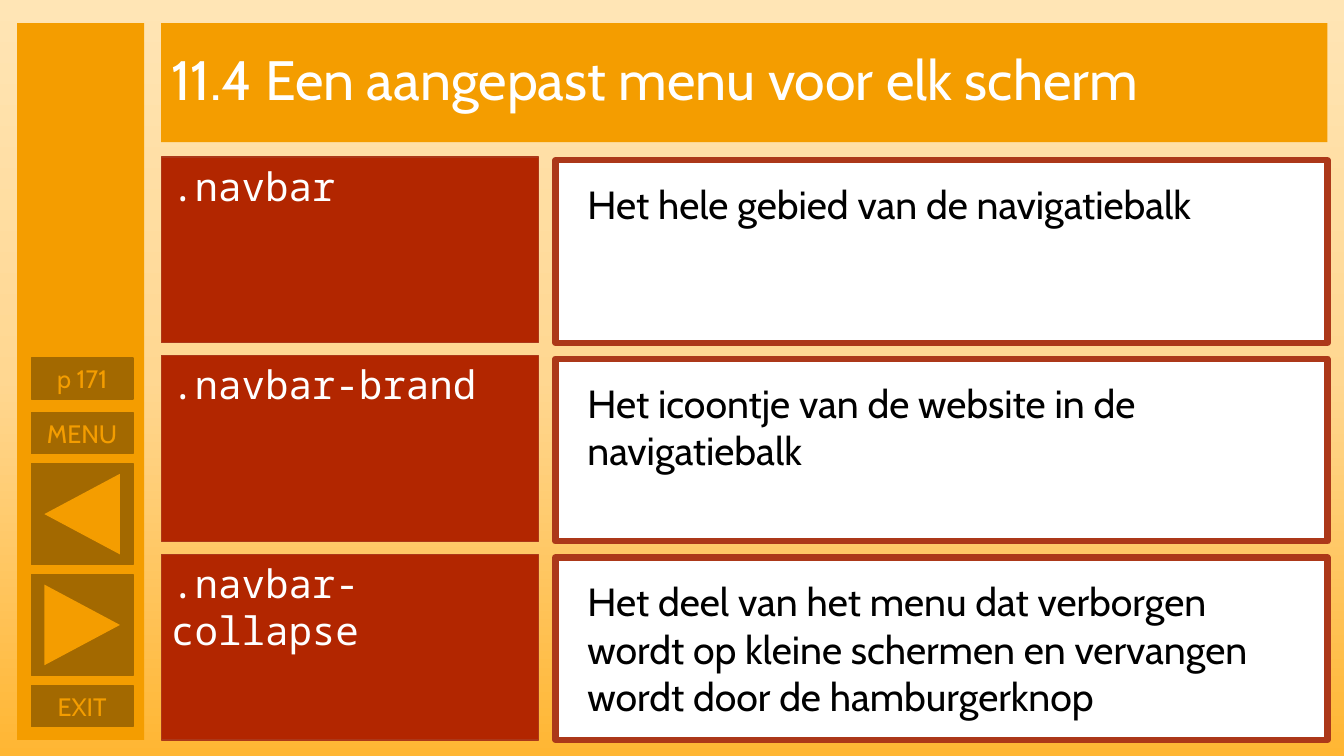
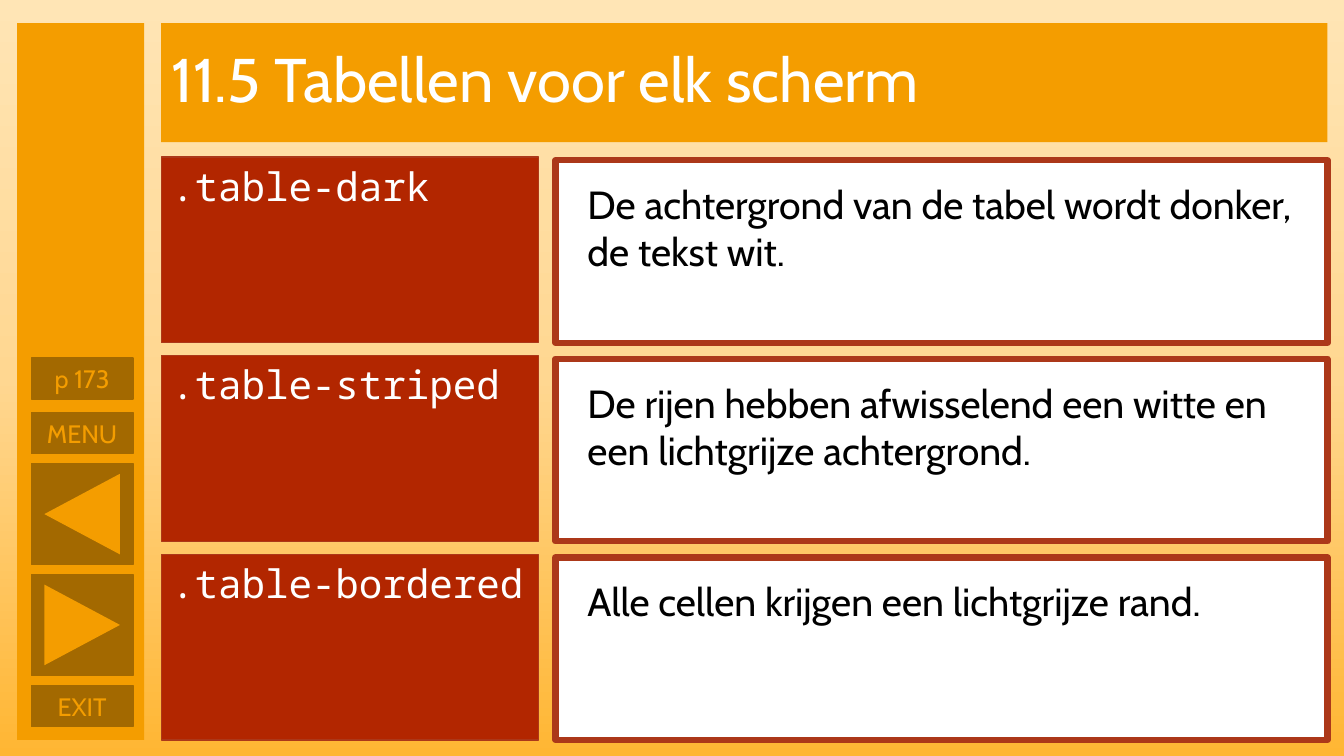
from copy import deepcopy
from pptx import Presentation
from pptx.dml.color import RGBColor as Rgb
from pptx.enum.shapes import MSO_SHAPE as Kind
from pptx.enum.text import MSO_ANCHOR as Anchor, PP_ALIGN as Align
from pptx.oxml.ns import qn
from pptx.util import Pt

HUES = {
    "band": "F49D00", "button": "A36900", "label": "B22600", "edge": "AC3819",
    "white": "FFFFFF", "black": "000000",
    "top": "FFE5B5", "mid": "FFD791", "base": "FFB633",
}
SANS, MONO = "Cabin", "Noto Sans Mono"

# Regions: left, top, width, height in points
SIDE = (12.24, 16.56, 90.72, 511.92)
HEAD = (115.2, 16.56, 833.04, 84.96)
BODY = (115.2, 112.32, 833.04, 416.16)
ROW_GAP = 9.36

PAGES = [
    ("11.4 Een aangepast menu voor elk scherm", 39.6, "p 171", [
        (".navbar", "Het hele gebied van de navigatiebalk"),
        (".navbar-brand", "Het icoontje van de website in de navigatiebalk"),
        (".navbar-collapse", "Het deel van het menu dat verborgen wordt op kleine "
                             "schermen en vervangen wordt door de hamburgerknop"),
    ]),
    ("11.5 Tabellen voor elk scherm", 44, "p 173", [
        (".table-dark", "De achtergrond van de tabel wordt donker, de tekst wit."),
        (".table-striped", "De rijen hebben afwisselend een witte en een "
                           "lichtgrijze achtergrond."),
        (".table-bordered", "Alle cellen krijgen een lichtgrijze rand."),
    ]),
]


def hue(name):
    return Rgb.from_string(HUES[name])


def add_box(slide, box, fill, line=None, width=1, kind=Kind.RECTANGLE):
    shape = slide.shapes.add_shape(kind, *map(Pt, box))
    shape.shadow.inherit = False
    shape.fill.solid()
    shape.fill.fore_color.rgb = hue(fill)
    if line:
        shape.line.color.rgb = hue(line)
        shape.line.width = Pt(width)
    else:
        shape.line.fill.background()
    return shape


def put_text(shape, text, size, color, font=SANS, align=Align.LEFT, anchor=Anchor.TOP):
    frame = shape.text_frame
    frame.word_wrap = True
    frame.vertical_anchor = anchor
    frame.text = text
    para = frame.paragraphs[0]
    para.alignment = align
    style = para.runs[0].font
    style.name, style.size = font, Pt(size)
    style.color.rgb = hue(color)
    return para


def paint_back(slide):
    fill = slide.background.fill
    fill.gradient()
    fill.gradient_angle = 270
    stops = next(slide.element.iter(qn("a:gsLst")))
    stops.append(deepcopy(stops[-1]))
    for stop, name, place in zip(fill.gradient_stops, ("top", "mid", "base"), (0, 0.5, 1)):
        stop.color.rgb = hue(name)
        stop.position = place


def draw_side(slide, box, page):
    left, top, wide, high = box
    add_box(slide, box, "band")
    inset, low, tall = 10.08, 29.52, 72
    span = wide - 18

    def button(drop, size):
        return add_box(slide, (left + inset, top + drop, span, size), "button", "button")

    # Text buttons
    for text, drop in ((page, 239.04), ("MENU", 277.92), ("EXIT", 473.04)):
        put_text(button(drop, low), text, 18, "band", align=Align.CENTER,
                 anchor=Anchor.MIDDLE)

    # Arrow buttons
    base, rise = 57.6, 54
    for drop, turn in ((314.64, 270), (393.84, 90)):
        button(drop, tall)
        spot = (left + inset + (span - base) / 2, top + drop + (tall - rise) / 2, base, rise)
        add_box(slide, spot, "band", kind=Kind.ISOSCELES_TRIANGLE).rotation = turn


def draw_head(slide, box, text, size):
    para = put_text(add_box(slide, box, "band"), text, size, "white", anchor=Anchor.MIDDLE)
    para.line_spacing = 0.9


def draw_row(slide, box, code, text):
    left, top, wide, high = box
    # Class name
    label = add_box(slide, (left, top, 269.28, high), "label", "edge")
    put_text(label, code, 28, "white", MONO)
    # Meaning
    start, drop = left + 281.52, top + 2.16
    add_box(slide, (start, drop, left + wide - start, high - 2.16), "white", "edge", 4.5)
    note = slide.shapes.add_textbox(Pt(start + 15.84), Pt(drop + 11), Pt(522), Pt(108.72))
    put_text(note, text, 28, "black")


def draw_body(slide, box, rows):
    left, top, wide, high = box
    tall = (high - ROW_GAP * (len(rows) - 1)) / len(rows)
    for i, (code, text) in enumerate(rows):
        draw_row(slide, (left, top + i * (tall + ROW_GAP), wide, tall), code, text)


def main():
    deck = Presentation()
    deck.slide_width, deck.slide_height = Pt(960), Pt(540)
    for title, size, page, rows in PAGES:
        slide = deck.slides.add_slide(deck.slide_layouts[6])
        paint_back(slide)
        draw_side(slide, SIDE, page)
        draw_head(slide, HEAD, title, size)
        draw_body(slide, BODY, rows)
    deck.save("out.pptx")


if __name__ == "__main__":
    main()
